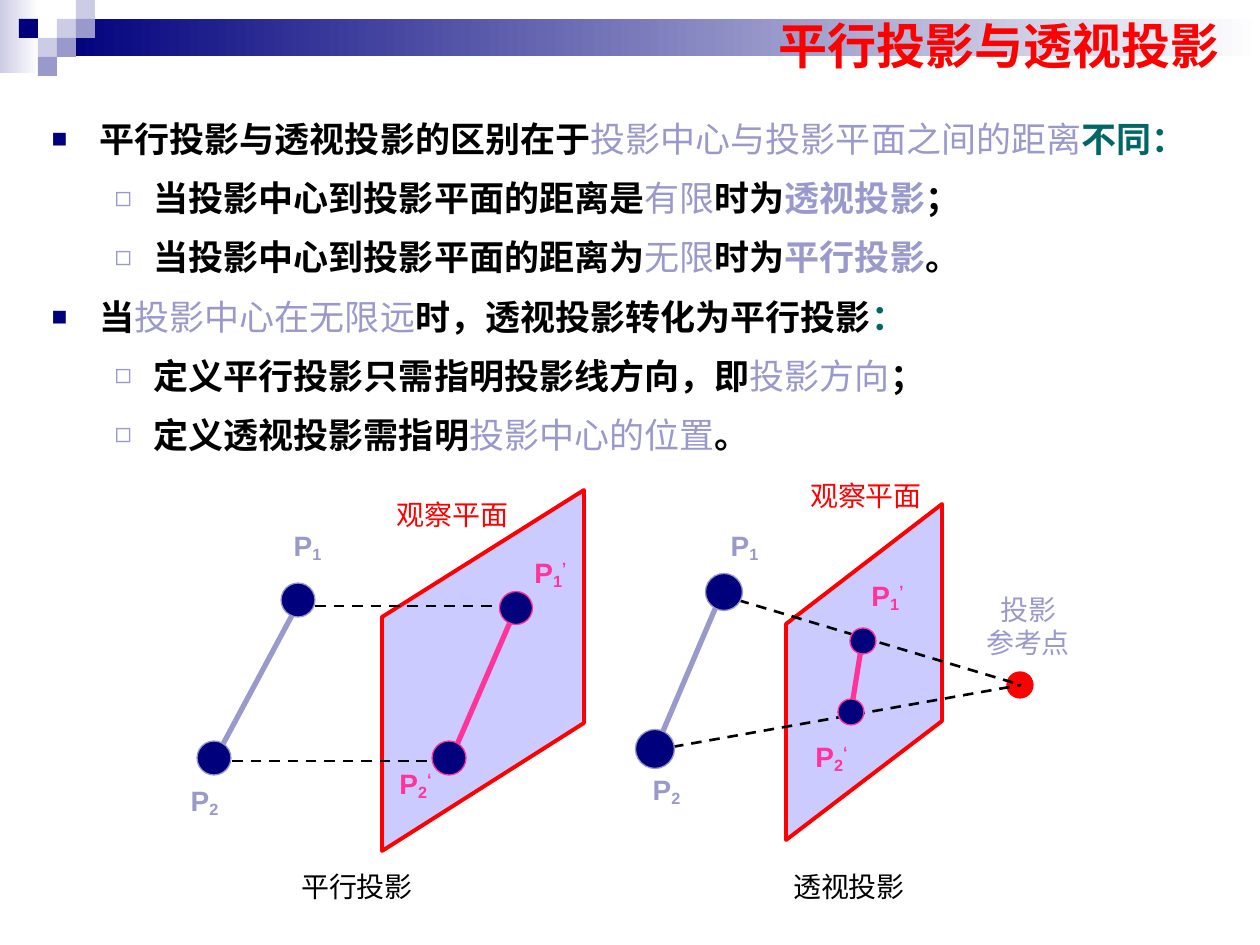
from lxml.etree import SubElement as Sub
from pptx import Presentation
from pptx.dml.color import RGBColor as RGB
from pptx.enum.dml import MSO_LINE as Dash
from pptx.enum.shapes import MSO_CONNECTOR as Conn, MSO_SHAPE as Kind
from pptx.enum.text import MSO_ANCHOR as Anchor, MSO_AUTO_SIZE as Auto, PP_ALIGN as Align
from pptx.oxml.ns import qn
from pptx.util import Emu, Pt

NAVY = RGB(0x00, 0x00, 0x7D)
LILAC = RGB(0x99, 0x99, 0xCC)
PALE = RGB(0xCC, 0xCC, 0xE6)
PLANE = RGB(0x99, 0x99, 0xFF)
TEAL = RGB(0x00, 0x66, 0x66)
PINK = RGB(0xFF, 0x33, 0x99)
RED = RGB(0xFF, 0x00, 0x00)
BLACK = RGB(0x00, 0x00, 0x00)
WHITE = RGB(0xFF, 0xFF, 0xFF)

SCALE = 914400 / 126


def px(*vals):
    return [Emu(round(v * SCALE)) for v in vals]


class Deck:
    font = "Arial"

    def __init__(self, wide, high):
        self.prs = Presentation()
        self.prs.slide_width, self.prs.slide_height = px(wide, high)
        self.slide = self.prs.slides.add_slide(self.prs.slide_layouts[1])
        self.shapes = self.slide.shapes

    def style(self, item, **vals):
        for name, val in vals.items():
            setattr(item, name, val)

    def run(self, para, text, size, color, bold=False, base=0):
        run = para.add_run()
        run.text = text
        self.style(run.font, name=self.font, size=Pt(size), bold=bold)
        run.font.color.rgb = color
        if base:
            run.font._element.set("baseline", str(base * 1000))

    def holder(self, index, box, anchor):
        """Move a template placeholder above the shapes drawn so far."""
        shape = self.slide.placeholders[index]
        self.style(shape, **dict(zip(("left", "top", "width", "height"), px(*box))))
        self.shapes.element.append(shape.element)
        frame = shape.text_frame
        self.style(frame, word_wrap=True, auto_size=Auto.NONE, vertical_anchor=anchor)
        return frame

    def bullet(self, para, level):
        left, hang, mark, color, size = (
            (48, 48, "■", NAVY, 75), (102, 39, "◻", LILAC, 80))[level]
        para.level = level
        prop = para._p.get_or_add_pPr()
        for name, val in zip(("marL", "indent"), px(left, -hang)):
            prop.set(name, str(val))
        tint = Sub(prop, qn("a:buClr"))
        Sub(tint, qn("a:srgbClr")).set("val", str(color))
        Sub(prop, qn("a:buSzPct")).set("val", str(size * 1000))
        Sub(prop, qn("a:buFont")).set("typeface", self.font)
        Sub(prop, qn("a:buChar")).set("char", mark)

    def shape(self, kind, box, fill, line=None):
        """A fill is one colour, or a list of two for a fade to the right."""
        shape = self.shapes.add_shape(kind, *px(*box))
        shape.shadow.inherit = False
        if isinstance(fill, list):
            shape.fill.gradient()
            shape.fill.gradient_angle = 0
            for stop, color, pos in zip(shape.fill.gradient_stops, fill, (0, 1)):
                stop.color.rgb = color
                stop.position = pos
        else:
            shape.fill.solid()
            shape.fill.fore_color.rgb = fill
        if line is None:
            shape.line.fill.background()
        else:
            shape.line.color.rgb = line
            shape.line.width = Pt(0.75)

    def dot(self, x, y, size, line, fill=NAVY):
        self.shape(Kind.OVAL, (x - size / 2, y - size / 2, size, size), fill, line)

    def line(self, start, end, color, width, dash=None):
        line = self.shapes.add_connector(Conn.STRAIGHT, *px(*start, *end))
        line.line.color.rgb = color
        self.style(line.line, width=Pt(width), dash_style=dash)
        Sub(line._element.spPr, qn("a:effectLst"))

    def plane(self, points):
        first, *rest = [px(*point) for point in points]
        path = self.shapes.build_freeform(*first, scale=1.0)
        path.add_line_segments(rest, close=True)
        shape = path.convert_to_shape()
        shape.shadow.inherit = False
        shape.fill.solid()
        shape.fill.fore_color.rgb = PLANE
        tint = shape._element.spPr.find(qn("a:solidFill"))[0]
        Sub(tint, qn("a:alpha")).set("val", "50000")
        shape.line.color.rgb = RED
        shape.line.width = Pt(2.25)

    def label(self, box, lines, color, bold=False):
        """Each line is a list of (text, baseline shift) pairs."""
        frame = self.shapes.add_textbox(*px(*box)).text_frame
        frame.word_wrap = True
        for i, parts in enumerate(lines):
            para = frame.paragraphs[0] if i == 0 else frame.add_paragraph()
            para.alignment = Align.CENTER
            for text, base in parts:
                self.run(para, text, 16, color, bold, base)


deck = Deck(1260, 945)

# Banner: two fading bars and a checker of small squares
deck.shape(Kind.RECTANGLE, (0, 0, 39, 73), [PALE, WHITE])
deck.shape(Kind.RECTANGLE, (57, 19, 1203, 37), [NAVY, WHITE])
for col, row, color in ((2, 1, PALE), (3, 0, PALE), (3, 1, LILAC), (1, 2, PALE),
                        (0, 1, NAVY), (2, 2, LILAC), (1, 3, LILAC)):
    deck.shape(Kind.RECTANGLE, (19 + 19 * col, 19 * row, 19, 19), color)

# Title
head = deck.holder(0, (766, 8, 483, 73), Anchor.MIDDLE).paragraphs[0]
head.alignment = Align.LEFT
deck.run(head, "平行投影与透视投影", 28, RED, True)

# Bullets: level, then runs of text, colour and weight
KEY, MAIN, NOTE = (LILAC, False), (BLACK, True), (LILAC, True)
DEEP = (TEAL, True)
POINTS = (
    (0, ("平行投影与透视投影的区别在于", MAIN), ("投影中心与投影平面之间的距离", KEY),
     ("不同：", DEEP)),
    (1, ("当投影中心到投影平面的距离是", MAIN), ("有限", KEY), ("时为", MAIN),
     ("透视投影", NOTE), ("；", MAIN)),
    (1, ("当投影中心到投影平面的距离为", MAIN), ("无限", KEY), ("时为", MAIN),
     ("平行投影", NOTE), ("。", MAIN)),
    (0, ("当", MAIN), ("投影中心在无限远", KEY), ("时，透视投影转化为平行投影", MAIN),
     ("：", DEEP)),
    (1, ("定义平行投影只需指明投影线方向，即", MAIN), ("投影方向", KEY), ("；", MAIN)),
    (1, ("定义透视投影需指明", MAIN), ("投影中心的位置", KEY), ("。", MAIN)),
)
body = deck.holder(1, (39, 103, 1179, 397), Anchor.TOP)
for i, (level, *runs) in enumerate(POINTS):
    para = body.paragraphs[0] if i == 0 else body.add_paragraph()
    deck.bullet(para, level)
    deck.style(para, alignment=Align.JUSTIFY, line_spacing=1.2,
               space_before=Pt(5 if i else 0))
    for text, (color, bold) in runs:
        deck.run(para, text, 20, color, bold)

# Diagrams: ends and dots run P1, P2, P1', P2'; rays are the dashed ends
VIEWS = (
    dict(plane=((584, 490), (382, 617), (382, 851), (584, 723)),
         ends=((297, 606), (214, 761), (517, 606), (450, 761)),
         rays=((517, 606), (450, 761)),
         dots=((298, 600, 34), (214, 758, 34), (516, 608, 33), (449, 758, 34)),
         tags=((262, 522, 91), (168, 777, 73), (500, 549, 101), (365, 760, 101)),
         name=(343, 491, 219), foot=(233, 863, 248), text="平行投影"),
    dict(plane=((942, 504), (786, 624), (786, 840), (942, 721)),
         ends=((721, 595), (655, 750), (862, 643), (853, 699)),
         rays=((1021, 685), (1021, 685)), focus=(1020, 685, 26),
         dots=((724, 592, 37), (655, 749, 39), (863, 641, 26), (851, 712, 26)),
         tags=((701, 522, 87), (630, 766, 73), (844, 572, 87), (788, 733, 87)),
         name=(772, 472, 188), foot=(733, 863, 232), text="透视投影"),
)
MARKS = (("1", ""), ("2", ""), ("1", "’"), ("2", "‘"))
TINTS = (LILAC, LILAC, PINK, PINK)
for view in VIEWS:
    one, two, *cast = view["ends"]
    deck.line(one, two, LILAC, 3)
    deck.plane(view["plane"])
    if "focus" in view:
        deck.dot(*view["focus"], RED, RED)
    for start, end in zip((one, two), view["rays"]):
        deck.line(start, end, BLACK, 1.5, Dash.DASH)
    deck.line(*cast, PINK, 3)
    for spot, tint in zip(view["dots"], TINTS):
        deck.dot(*spot, tint)
    for box, (digit, prime), tint in zip(view["tags"], MARKS, TINTS):
        parts = [("P", 0), (digit, -16)] + ([(prime, 30)] if prime else [])
        deck.label((*box, 49), [parts], tint, True)
    deck.label((*view["name"], 47), [[("观察平面", 0)]], RED)
    deck.label((*view["foot"], 47), [[(view["text"], 0)]], BLACK)

# Reference point caption
deck.label((963, 586, 130, 81), [[("投影", 0)], [("参考点", 0)]], LILAC)

deck.prs.save("out.pptx")
